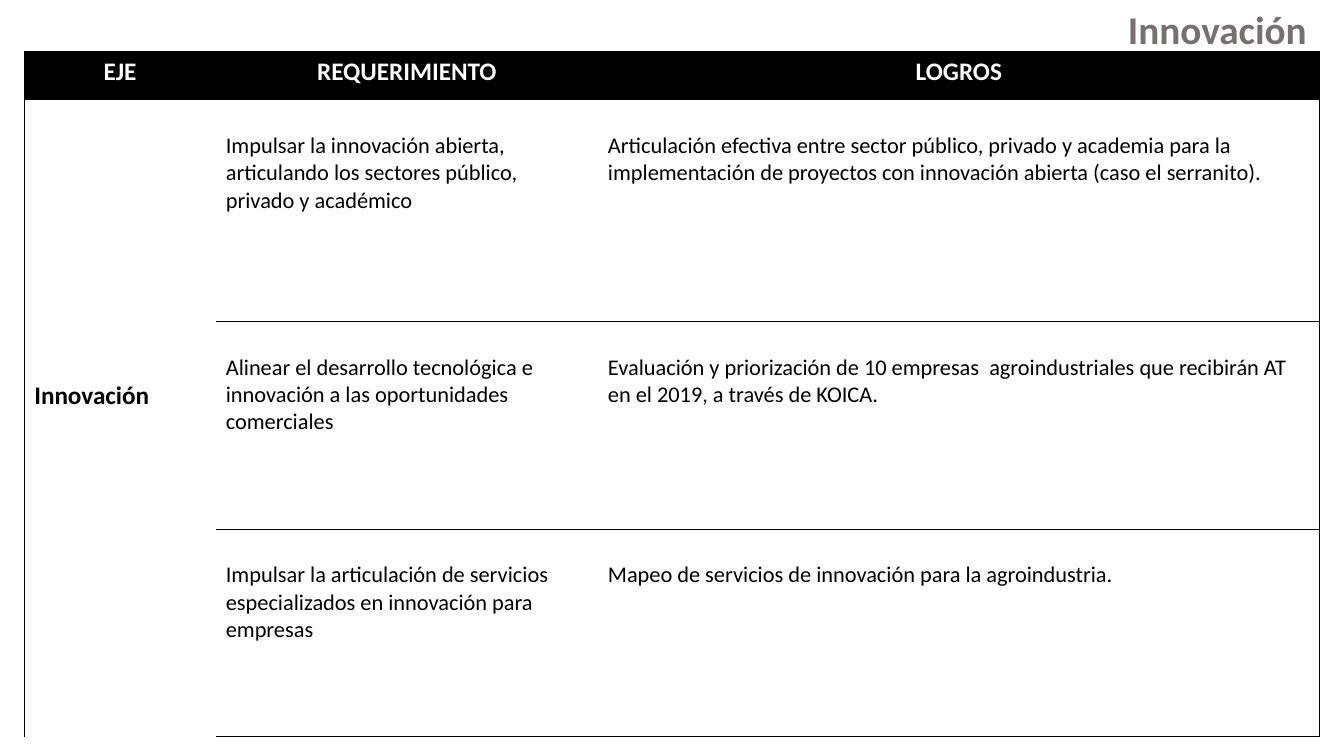
from pptx import Presentation
from pptx.dml.color import RGBColor
from pptx.enum.text import MSO_ANCHOR, PP_ALIGN
from pptx.oxml.ns import qn
from pptx.util import Inches, Pt
from lxml.etree import SubElement

BLACK = RGBColor(0, 0, 0)
WHITE = RGBColor(255, 255, 255)
GRAY = RGBColor(0x76, 0x71, 0x71)
FONT = "Calibri"
COLS = [1.9, 3.79, 7.16]
ROWS = [0.48, 2.2, 2.06, 2.06]
HEADERS = ["EJE", "REQUERIMIENTO", "LOGROS"]
AXIS = "Innovación"
ENTRIES = [
    ("Impulsar la innovación abierta, articulando los sectores público, privado y académico",
     "Articulación efectiva entre sector público, privado y academia para la "
     "implementación de proyectos con innovación abierta (caso el serranito)."),
    ("Alinear el desarrollo tecnológica e innovación a las oportunidades comerciales",
     "Evaluación y priorización de 10 empresas  agroindustriales que recibirán AT "
     "en el 2019, a través de KOICA."),
    ("Impulsar la articulación de servicios especializados en innovación para empresas",
     "Mapeo de servicios de innovación para la agroindustria."),
]
HEAD = {"size": Pt(18), "bold": True, "color": WHITE}
LABEL = {"size": Pt(18), "bold": True, "color": BLACK}
BODY = {"size": Pt(16), "bold": False, "color": BLACK}
TITLE = {"size": Pt(28), "bold": True, "color": GRAY}


def write(tf, text, style, align=PP_ALIGN.LEFT):
    p = tf.paragraphs[0]
    p.alignment = align
    r = p.add_run()
    r.text = text
    r.font.name = FONT
    for name, value in style.items():
        if name == "color":
            r.font.color.rgb = value
        else:
            setattr(r.font, name, value)


def set_borders(cell, sides):
    tc_pr = cell._tc.get_or_add_tcPr()
    for side in "LRTB":
        ln = SubElement(tc_pr, qn(f"a:ln{side}"), w=str(Pt(0.5)))
        if side in sides:
            fill = SubElement(ln, qn("a:solidFill"))
            SubElement(fill, qn("a:srgbClr"), val=str(BLACK))
        else:
            SubElement(ln, qn("a:noFill"))


def cell_sides(row, col):
    last_row, last_col = len(ROWS) - 1, len(COLS) - 1
    rules = {
        "L": col == 0,
        "R": col == last_col,
        "T": row < 2 or col > 0,
        "B": row in (0, last_row) or col > 0,
    }
    return [side for side, drawn in rules.items() if drawn]


def add_requirements(s, left, top):
    frame = s.shapes.add_table(len(ROWS), len(COLS), Inches(left), Inches(top),
                               Inches(sum(COLS)), Inches(sum(ROWS)))
    table = frame.table
    table.first_row = table.horz_banding = False
    for column, width in zip(table.columns, COLS):
        column.width = Inches(width)
    for row, height in zip(table.rows, ROWS):
        row.height = Inches(height)
    for i in range(len(ROWS)):
        for j in range(len(COLS)):
            cell = table.cell(i, j)
            set_borders(cell, cell_sides(i, j))
            cell.fill.solid()
            cell.fill.fore_color.rgb = WHITE if i else BLACK
    for j, text in enumerate(HEADERS):
        write(table.cell(0, j).text_frame, text, HEAD, PP_ALIGN.CENTER)
    axis = table.cell(1, 0)
    axis.merge(table.cell(len(ROWS) - 1, 0))
    axis.vertical_anchor = MSO_ANCHOR.MIDDLE
    axis.margin_bottom = Inches(0.5)
    write(axis.text_frame, AXIS, LABEL)
    for i, entry in enumerate(ENTRIES, 1):
        for j, text in enumerate(entry, 1):
            cell = table.cell(i, j)
            cell.margin_top = Inches(0.32)
            write(cell.text_frame, text, BODY)


def add_title(s, left, top, width, height):
    sp = s.shapes.add_textbox(Inches(left), Inches(top), Inches(width), Inches(height))
    tf = sp.text_frame
    tf.word_wrap = True
    tf.margin_right = Inches(0.18)
    write(tf, AXIS, TITLE, PP_ALIGN.RIGHT)


def main():
    prs = Presentation()
    prs.slide_width, prs.slide_height = Inches(13.33), Inches(7.5)
    s = prs.slides.add_slide(prs.slide_layouts[6])
    add_requirements(s, 0.24, 0.51)
    add_title(s, 8.83, 0, 4.31, 0.57)
    prs.save("out.pptx")


if __name__ == "__main__":
    main()
